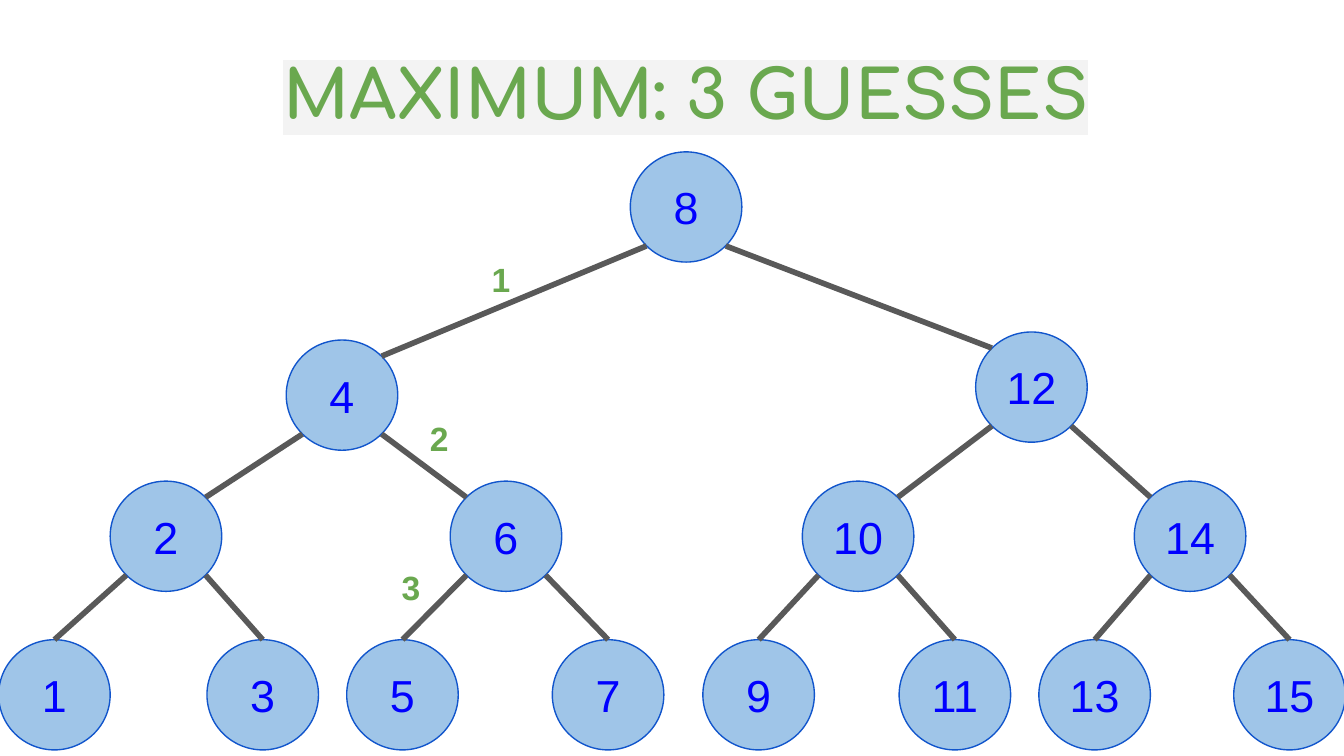
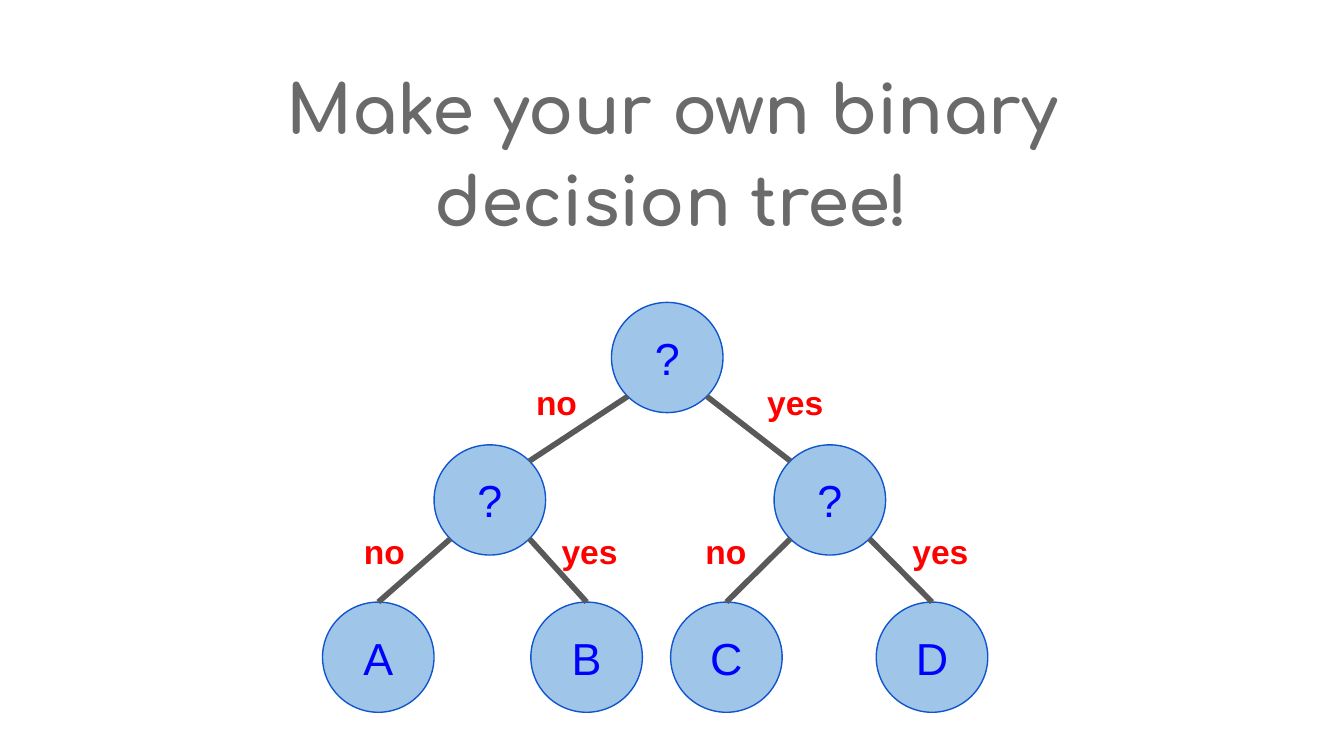
"""Build two slides that show binary decision trees."""
from lxml import etree
from pptx import Presentation
from pptx.dml.color import RGBColor
from pptx.enum.shapes import MSO_CONNECTOR, MSO_SHAPE
from pptx.enum.text import MSO_ANCHOR, PP_ALIGN
from pptx.oxml.ns import qn
from pptx.util import Inches, Pt

ELLIPSE = MSO_SHAPE.OVAL
STRAIGHT = MSO_CONNECTOR.STRAIGHT
LEFT, CENTER = PP_ALIGN.LEFT, PP_ALIGN.CENTER
TOP, MIDDLE = MSO_ANCHOR.TOP, MSO_ANCHOR.MIDDLE

THEME = {
    "node_fill": RGBColor.from_string("9FC5E8"),
    "node_line": RGBColor.from_string("1155CC"),
    "branch": RGBColor.from_string("595959"),
    "node_text": "0000FF",
    "green": "6AA84F",
    "red": "FF0000",
    "gray": "6A6A6A",
    "light_gray": "F3F3F3",
    "white": "FFFFFF",
    "node_line_width": Pt(0.75),
    "branch_width": Pt(3),
    "title": {"name": "Comfortaa", "size": Pt(36), "bold": True},
    "node": {"name": "Arial", "size": Pt(24), "bold": False},
    "label": {"name": "Arial", "size": Pt(18), "bold": True},
}
NODE_WIDTH, NODE_HEIGHT = 0.83, 0.82
DIAGONAL_INSET = 0.12
LABEL_HEIGHT = 0.42

SLIDES = [
    {
        "title": ("MAXIMUM: 3 GUESSES", (2.01, 0.2, 6.31, 0.87), LEFT, "green", "light_gray"),
        "nodes": [
            ("8", 4.69, 1.13),
            ("4", 2.13, 2.53), ("12", 7.26, 2.47),
            ("2", 0.82, 3.58), ("6", 3.35, 3.58), ("10", 5.97, 3.58), ("14", 8.44, 3.58),
            ("1", -0.01, 4.76), ("3", 1.54, 4.76), ("5", 2.58, 4.76), ("7", 4.11, 4.76),
            ("9", 5.23, 4.76), ("11", 6.69, 4.76), ("13", 7.73, 4.76), ("15", 9.18, 4.76),
        ],
        "label_color": "green",
        "labels": [("1", 3.56, 1.83, 0.54), ("2", 3.1, 3.01, 0.54), ("3", 2.89, 4.12, 0.54)],
    },
    {
        "title": ("Make your own binary decision tree!", (0.98, 0.31, 8.04, 0.87),
                  CENTER, "gray", "white"),
        "nodes": [
            ("?", 4.55, 2.25),
            ("?", 3.23, 3.31), ("?", 5.76, 3.31),
            ("A", 2.4, 4.48), ("B", 3.95, 4.48), ("C", 4.99, 4.48), ("D", 6.52, 4.48),
        ],
        "label_color": "red",
        "labels": [
            ("no", 3.89, 2.74, 0.54), ("yes", 5.61, 2.74, 0.63),
            ("no", 2.61, 3.85, 0.54), ("yes", 4.08, 3.85, 0.63),
            ("no", 5.15, 3.85, 0.54), ("yes", 6.69, 3.85, 0.63),
        ],
    },
]


def write_text(shape, text, style, color, alignment=LEFT, anchor=TOP):
    frame = shape.text_frame
    margins = {f"margin_{side}": Inches(0.1) for side in ("left", "top", "right", "bottom")}
    for name, value in {**margins, "word_wrap": True, "vertical_anchor": anchor}.items():
        setattr(frame, name, value)
    paragraph = frame.paragraphs[0]
    paragraph.alignment = alignment
    run = paragraph.add_run()
    run.text = text
    for name, value in THEME[style].items():
        setattr(run.font, name, value)
    run.font.color.rgb = RGBColor.from_string(THEME[color])
    return paragraph


def diagonal_point(node, right, bottom):
    _, left, top = node
    x = left + (NODE_WIDTH - DIAGONAL_INSET if right else DIAGONAL_INSET)
    y = top + (NODE_HEIGHT - DIAGONAL_INSET if bottom else DIAGONAL_INSET)
    return Inches(x), Inches(y)


presentation = Presentation()
presentation.slide_width = Inches(10)
presentation.slide_height = Inches(10 * 9 / 16)

for content in SLIDES:
    slide = presentation.slides.add_slide(presentation.slide_layouts[6])

    title, box, alignment, color, highlight_color = content["title"]
    shape = slide.shapes.add_textbox(*map(Inches, box))
    paragraph = write_text(shape, title, "title", color, alignment)
    paragraph.line_spacing = 1.15
    properties = paragraph.runs[0]._r.get_or_add_rPr()
    highlight = etree.Element(qn("a:highlight"))
    etree.SubElement(highlight, qn("a:srgbClr"), val=THEME[highlight_color])
    properties.find(qn("a:solidFill")).addnext(highlight)

    nodes = content["nodes"]
    circles = []
    for text, left, top in nodes:
        circle = slide.shapes.add_shape(
            ELLIPSE, *map(Inches, (left, top, NODE_WIDTH, NODE_HEIGHT)))
        circle.shadow.inherit = False
        circle.fill.solid()
        circle.fill.fore_color.rgb = THEME["node_fill"]
        circle.line.color.rgb = THEME["node_line"]
        circle.line.width = THEME["node_line_width"]
        write_text(circle, text, "node", "node_text", CENTER, MIDDLE)
        circles.append(circle)

    first_leaf = len(nodes) // 2
    for index in range(1, len(nodes)):
        is_right_child = index % 2 == 0
        parent = nodes[(index - 1) // 2]
        start = diagonal_point(nodes[index], not is_right_child, False)
        end = diagonal_point(parent, is_right_child, True)
        branch = slide.shapes.add_connector(STRAIGHT, *start, *end)
        if index >= first_leaf:
            branch.begin_connect(circles[index], 0)
        branch.line.color.rgb = THEME["branch"]
        branch.line.width = THEME["branch_width"]
        etree.SubElement(branch._element.spPr, qn("a:effectLst"))

    for text, left, top, width in content["labels"]:
        label = slide.shapes.add_textbox(*map(Inches, (left, top, width, LABEL_HEIGHT)))
        write_text(label, text, "label", content["label_color"])

presentation.save("out.pptx")
